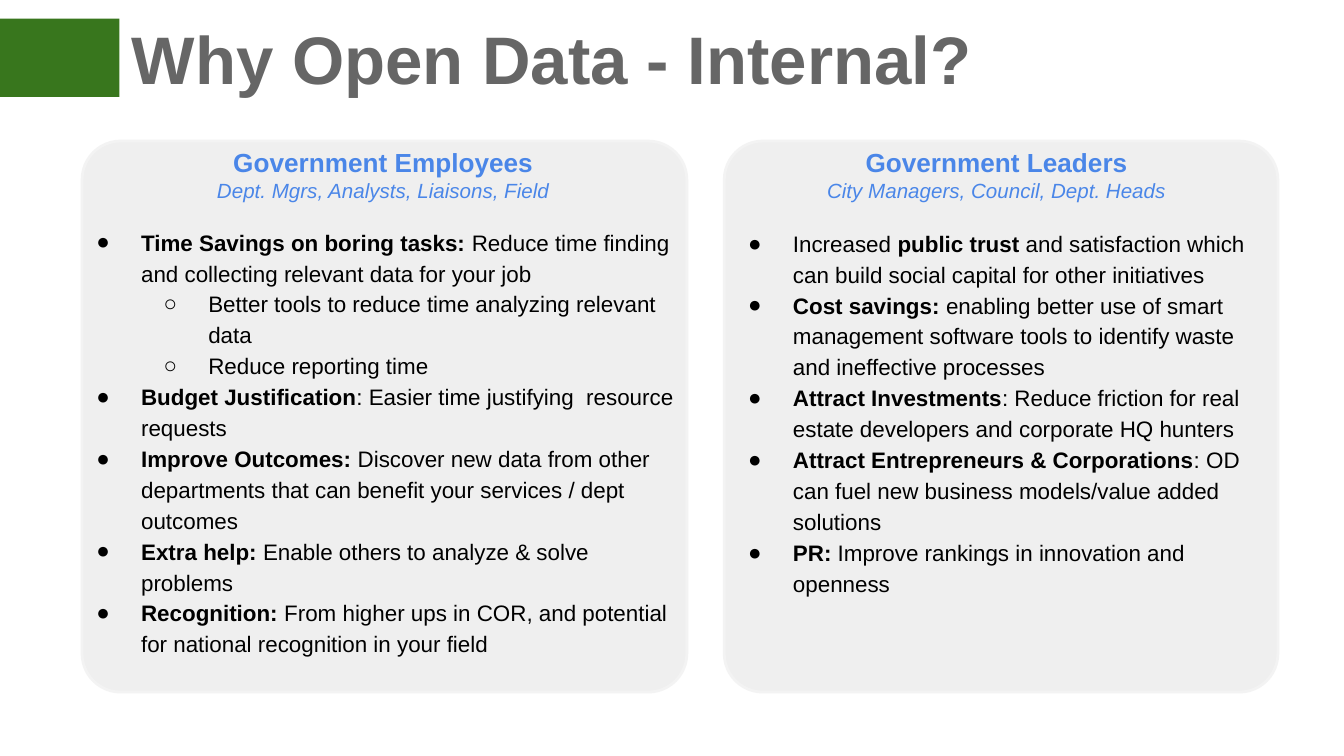
from typing import NamedTuple

from lxml.etree import SubElement
from pptx import Presentation
from pptx.dml.color import RGBColor
from pptx.enum.shapes import MSO_SHAPE as Preset
from pptx.enum.text import MSO_ANCHOR as Anchor, MSO_AUTO_SIZE as AutoSize, PP_ALIGN as Align
from pptx.oxml.ns import qn
from pptx.util import Pt

GREEN = RGBColor(0x38, 0x76, 0x1D)
BLUE = RGBColor(0x4A, 0x86, 0xE8)
GRAY = RGBColor(0x66, 0x66, 0x66)
PANEL = RGBColor(0xEF, 0xEF, 0xEF)
PANEL_EDGE = RGBColor(0xF3, 0xF3, 0xF3)
BLACK = RGBColor(0, 0, 0)
FONT = "Arial"
INSET = Pt(7.2)
BULLETS = "●○"


class Box(NamedTuple):
    left: float
    top: float
    width: float
    height: float

    def in_points(self):
        return [Pt(length) for length in self]


EMPLOYEE_POINTS = [
    (0, "*Time Savings on boring tasks: *Reduce time finding and collecting relevant data for your job"),
    (1, "Better tools to reduce time analyzing relevant data"),
    (1, "Reduce reporting time"),
    (0, "*Budget Justification*: Easier time justifying  resource requests"),
    (0, "*Improve Outcomes: *Discover new data from other departments that can benefit "
        "your services / dept outcomes"),
    (0, "*Extra help:* Enable others to analyze & solve problems"),
    (0, "*Recognition:* From higher ups in COR, and potential for national recognition in your field"),
]
LEADER_POINTS = [
    (0, "Increased *public trust *and satisfaction which can build social capital for other initiatives"),
    (0, "*Cost savings: *enabling better use of smart management software tools to identify "
        "waste and ineffective processes"),
    (0, "*Attract Investments*: Reduce friction for real estate developers and corporate HQ hunters"),
    (0, "*Attract Entrepreneurs & Corporations*: OD can fuel new business models/value added solutions"),
    (0, "*PR:* Improve rankings in innovation and openness"),
]


def place(shape, box):
    shape.left, shape.top, shape.width, shape.height = box.in_points()


def prepare_frame(frame, anchor=Anchor.TOP):
    frame.word_wrap = True
    frame.auto_size = AutoSize.NONE
    frame.vertical_anchor = anchor
    frame.margin_left = frame.margin_right = INSET
    frame.margin_top = frame.margin_bottom = INSET


def style(run, size, color, bold=False, italic=False):
    font = run.font
    font.name, font.size, font.bold, font.italic = FONT, Pt(size), bold, italic
    font.color.rgb = color


def add_block(slide, preset, box, fill):
    block = slide.shapes.add_shape(preset, *box.in_points())
    block.shadow.inherit = False
    block.fill.solid()
    block.fill.fore_color.rgb = fill
    block.line.fill.background()
    return block


def add_title(slide, box, wording):
    add_block(slide, Preset.RECTANGLE, Box(-2, 10, 66, 42), GREEN)
    title = slide.shapes.title
    place(title, box)
    prepare_frame(title.text_frame, Anchor.MIDDLE)
    title.text_frame.text = wording
    heading = title.text_frame.paragraphs[0]
    heading.alignment = Align.LEFT
    style(heading.runs[0], 36, GRAY, bold=True)


def add_heading(slide, box, audience, roles):
    frame = slide.shapes.add_textbox(*box.in_points()).text_frame
    prepare_frame(frame)
    frame.text = f"{audience}\n{roles}"
    for paragraph in frame.paragraphs:
        paragraph.alignment = Align.CENTER
    style(frame.paragraphs[0].runs[0], 14, BLUE, bold=True)
    style(frame.paragraphs[1].runs[0], 11, BLUE, italic=True)


def set_bullet(paragraph, level):
    properties = paragraph._p.get_or_add_pPr()
    properties.set("marL", str(Pt(36 * (level + 1))))
    properties.set("indent", str(Pt(-24)))
    color = SubElement(properties, qn("a:buClr"))
    SubElement(color, qn("a:srgbClr"), val=str(BLACK))
    SubElement(properties, qn("a:buFont"), typeface=FONT)
    SubElement(properties, qn("a:buChar"), char=BULLETS[level])


def fill_list(body, box, points):
    place(body, box)
    frame = body.text_frame
    prepare_frame(frame)
    for index, (level, wording) in enumerate(points):
        paragraph = frame.add_paragraph() if index else frame.paragraphs[0]
        paragraph.level = level
        set_bullet(paragraph, level)
        paragraph.alignment = Align.LEFT
        paragraph.line_spacing = 1.15
        paragraph.space_before = paragraph.space_after = Pt(0)
        for part, phrase in enumerate(wording.split("*")):
            if phrase:
                run = paragraph.add_run()
                run.text = phrase
                style(run, 12, BLACK, bold=part % 2 == 1)


def add_column(slide, box, heading_box, audience, roles, body, list_box, points):
    panel = add_block(slide, Preset.ROUNDED_RECTANGLE, box, PANEL)
    panel.adjustments[0] = 0.07
    panel.line.color.rgb = PANEL_EDGE
    panel.line.width = Pt(1.5)
    body.element.addprevious(panel.element)
    add_heading(slide, heading_box, audience, roles)
    fill_list(body, list_box, points)


def main():
    deck = Presentation()
    deck.slide_width, deck.slide_height = Pt(720), Pt(405)
    slide = deck.slides.add_slide(deck.slide_layouts[3])
    for leftover in list(slide.placeholders)[3:]:
        leftover.element.getparent().remove(leftover.element)
    _, employees, leaders = slide.placeholders

    add_title(slide, Box(63.5, 3, 592.5, 55.5), "Why Open Data - Internal?")
    add_column(slide, Box(44, 75.6, 324, 295.2), Box(98, 71.3, 214.6, 42.5),
               "Government Employees", "Dept. Mgrs, Analysts, Liaisons, Field",
               employees, Box(32.4, 113.2, 340.6, 208), EMPLOYEE_POINTS)
    add_column(slide, Box(388, 75.6, 296.6, 295.2), Box(392.4, 71.3, 283, 42.5),
               "Government Leaders", "City Managers, Council, Dept. Heads",
               leaders, Box(381.6, 113.8, 303.2, 208), LEADER_POINTS)
    deck.save("out.pptx")


if __name__ == "__main__":
    main()
